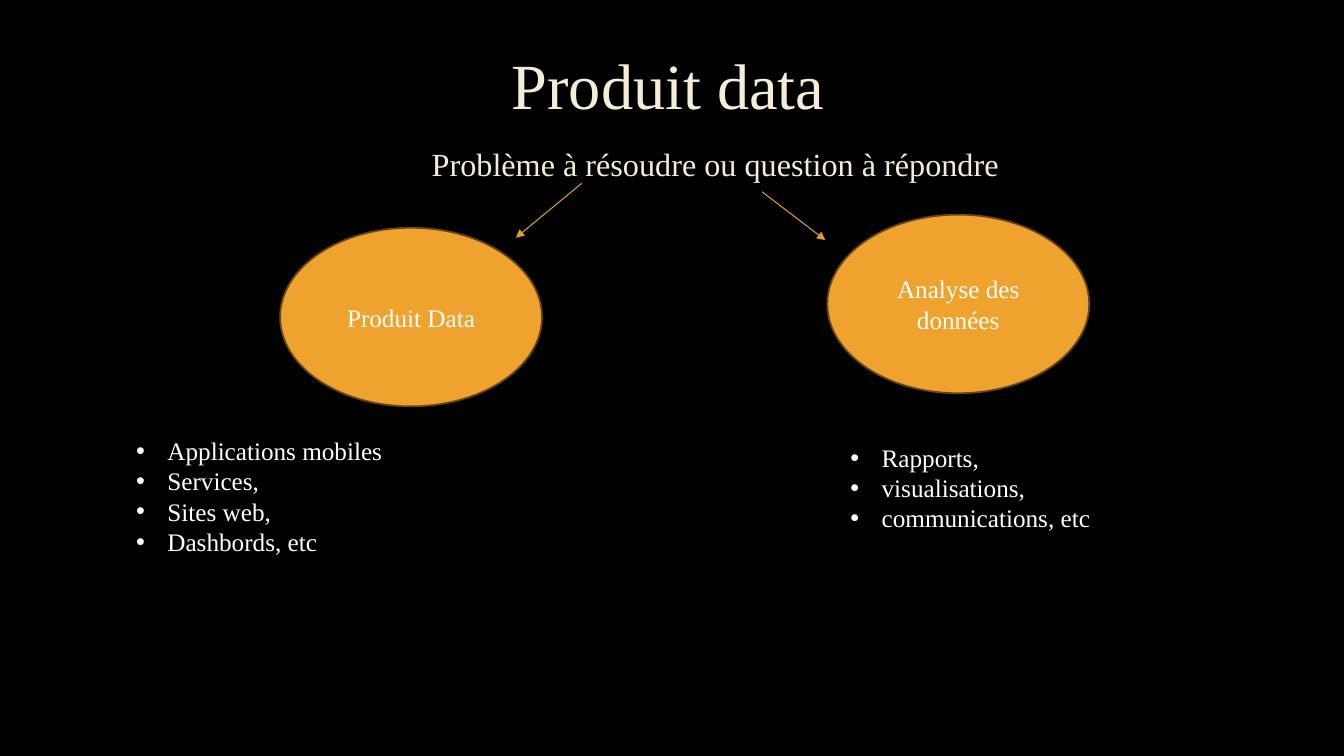
"""Build the slide on data products and data analysis."""
from lxml.etree import SubElement
from pptx import Presentation
from pptx.dml.color import RGBColor
from pptx.enum.shapes import MSO_CONNECTOR as CONNECTOR, MSO_SHAPE as SHAPE
from pptx.enum.text import MSO_ANCHOR as ANCHOR, PP_ALIGN as ALIGN
from pptx.oxml.ns import qn
from pptx.util import Cm, Pt

BLACK = RGBColor(0x00, 0x00, 0x00)
WHITE = RGBColor(0xFF, 0xFF, 0xFF)
CREAM = RGBColor(0xF4, 0xED, 0xD8)
ORANGE = RGBColor(0xF0, 0xA2, 0x2E)
ARROW_ORANGE = RGBColor(0xE5, 0x9B, 0x2C)
BROWN = RGBColor(0x69, 0x47, 0x14)
FONT = "Times New Roman"


def write(frame, *lines, size=18, color=WHITE, align=ALIGN.CENTER,
          anchor=ANCHOR.MIDDLE, spacing=1.0, bullet=False):
    frame.word_wrap = True
    frame.vertical_anchor = anchor
    for index, line in enumerate(lines):
        paragraph = frame.add_paragraph() if index else frame.paragraphs[0]
        paragraph.text = line
        paragraph.alignment = align
        paragraph.line_spacing = spacing
        paragraph.space_before = Pt(0)
        if bullet:
            properties = paragraph._p.get_or_add_pPr()
            properties.set("marL", str(Cm(0.79)))
            properties.set("indent", str(-Cm(0.79)))
            SubElement(properties, qn("a:buFont"), typeface="Arial")
            SubElement(properties, qn("a:buChar"), char="•")
        paragraph.font.name = FONT
        paragraph.font.size = Pt(size)
        paragraph.font.color.rgb = color


deck = Presentation()
deck.slide_width, deck.slide_height = Cm(33.87), Cm(19.05)
slide = deck.slides.add_slide(deck.slide_layouts[5])
slide.background.fill.solid()
slide.background.fill.fore_color.rgb = BLACK
shapes = slide.shapes

title = shapes.title
title.left, title.top, title.width, title.height = Cm(2.46), Cm(0.48), Cm(28.75), Cm(3.5)
write(title.text_frame, "Produit data", size=46, color=CREAM, spacing=0.9)

question = shapes.add_textbox(Cm(3.66), Cm(3.25), Cm(28.75), Cm(1.98)).text_frame
question.margin_top = Cm(0.28)
write(question, "Problème à résoudre ou question à répondre",
      size=23, color=CREAM, anchor=ANCHOR.TOP, spacing=1.1)

for x1, y1, x2, y2 in ((14.66, 4.62, 13, 5.99), (19.2, 4.83, 20.8, 6.05)):
    arrow = shapes.add_connector(CONNECTOR.STRAIGHT, Cm(x1), Cm(y1), Cm(x2), Cm(y2))
    arrow.line.color.rgb = ARROW_ORANGE
    arrow.line.width = Pt(0.75)
    SubElement(arrow.line._get_or_add_ln(), qn("a:tailEnd"), type="triangle")
    SubElement(arrow._element.spPr, qn("a:effectLst"))

for label, left, top in (("Produit Data", 7.06, 5.74), ("Analyse des données", 20.85, 5.41)):
    answer = shapes.add_shape(SHAPE.OVAL, Cm(left), Cm(top), Cm(6.6), Cm(4.5))
    answer.shadow.inherit = False
    answer.fill.solid()
    answer.fill.fore_color.rgb = ORANGE
    answer.line.color.rgb = BROWN
    answer.line.width = Pt(1.25)
    write(answer.text_frame, label)

example_lists = (
    (3.18, 10.85, 3.33, ("Applications mobiles", "Services,", "Sites web,", "Dashbords, etc")),
    (21.18, 11.02, 2.57, ("Rapports,", "visualisations,", "communications, etc")),
)
for left, top, height, examples in example_lists:
    examples_box = shapes.add_textbox(Cm(left), Cm(top), Cm(9.88), Cm(height))
    write(examples_box.text_frame, *examples, align=ALIGN.LEFT, anchor=ANCHOR.TOP, bullet=True)

deck.save("out.pptx")
